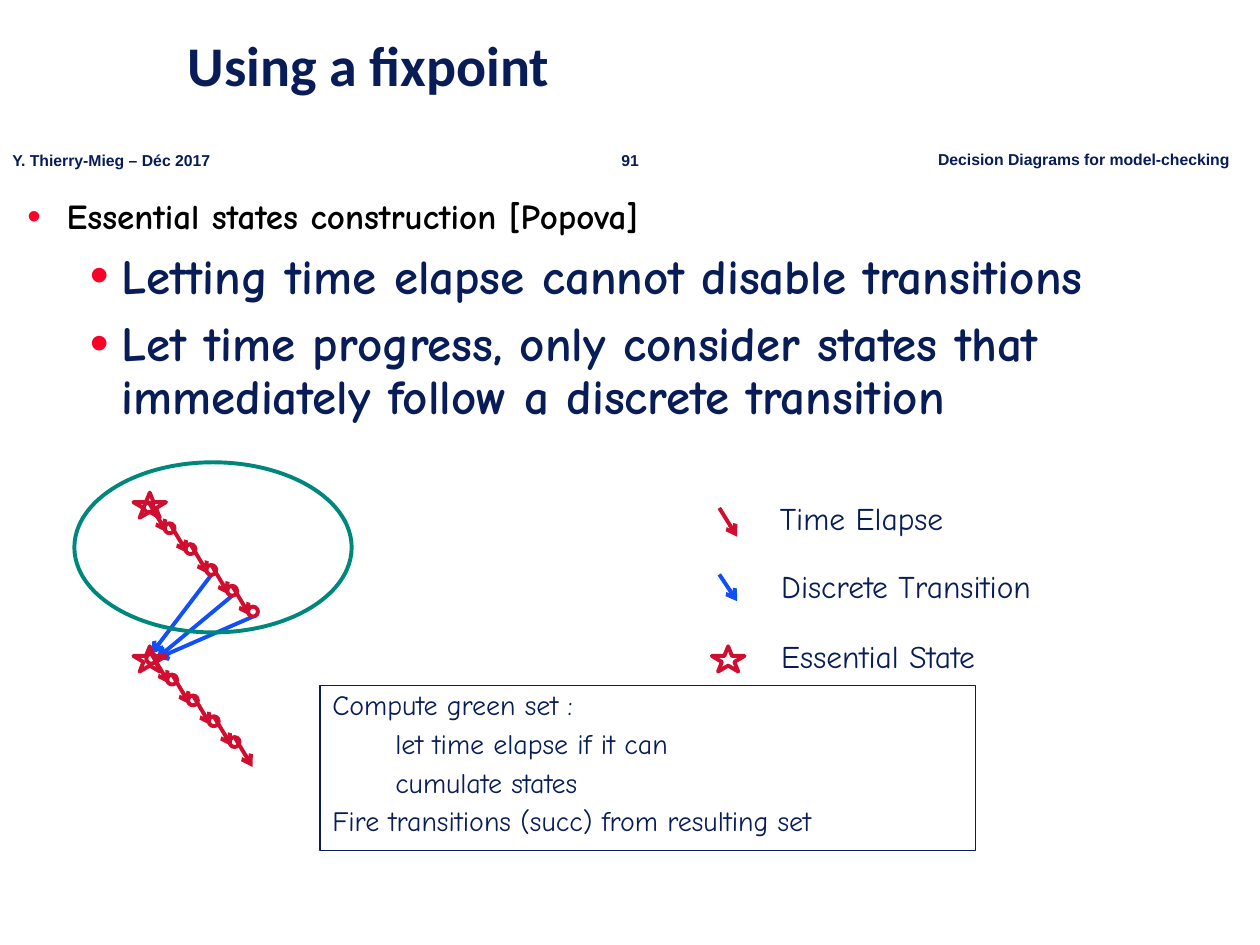
from lxml.etree import SubElement
from pptx import Presentation
from pptx.dml.color import RGBColor
from pptx.enum.shapes import MSO_CONNECTOR as Connector, MSO_SHAPE as Shape
from pptx.enum.text import MSO_ANCHOR as Anchor, MSO_AUTO_SIZE as AutoSize, PP_ALIGN as Align
from pptx.oxml.ns import qn
from pptx.util import Cm, Pt

rgb = RGBColor.from_string
NAVY, RED, BLUE, GREEN, BULLET = "081D58", "CF0E30", "114FFB", "00877B", "FC0128"


def format_paragraph(paragraph, size, font, color=NAVY, bold=False, align=Align.LEFT):
    paragraph.alignment = align
    if font == "Comic Neue":
        paragraph.line_spacing = 0.9
        paragraph.space_before = Pt(round(size * 0.3, 1))
    for run in paragraph.runs:
        run.font.size = Pt(size)
        run.font.name = font
        run.font.bold = bold
        run.font.color.rgb = rgb(color)


def add_label(text, left, top, width, height, size, font, bold=False, align=Align.LEFT):
    label = slide.shapes.add_textbox(Cm(left), Cm(top), Cm(width), Cm(height))
    label.text_frame.word_wrap = False
    label.text_frame.text = text
    format_paragraph(label.text_frame.paragraphs[0], size, font, bold=bold, align=align)


presentation = Presentation()
presentation.slide_width, presentation.slide_height = Cm(25.4), Cm(19.05)
slide = presentation.slides.add_slide(presentation.slide_layouts[1])

add_label("91", 12.17, 2.92, 1.07, 0.64, 9, "Arial", True, Align.CENTER)
add_label("Y. Thierry-Mieg – Déc 2017", 0, 2.92, 4.57, 0.64, 9, "Arial", True)
add_label("Decision Diagrams for model-checking", 18.66, 2.89, 6.43, 0.64, 9, "Arial", True)

title = slide.shapes.title
title.left, title.top, title.width, title.height = Cm(3.53), Cm(0), Cm(21.87), Cm(2.74)
title.text_frame.text = "Using a fixpoint"
title.text_frame.auto_size = AutoSize.NONE
title.text_frame.vertical_anchor = Anchor.MIDDLE
title.text_frame.paragraphs[0].line_spacing = 0.9
format_paragraph(title.text_frame.paragraphs[0], 32, "Calibri", bold=True)

body = slide.placeholders[1]
body.left, body.top, body.width, body.height = Cm(0.3), Cm(3.89), Cm(24.61), Cm(5.44)
body.text_frame.text = "\n".join([
    "Essential states construction [Popova]",
    "Letting time elapse cannot disable transitions",
    "Let time progress, only consider states that immediately follow a discrete transition",
])
body.text_frame.auto_size = AutoSize.NONE
for index, paragraph in enumerate(body.text_frame.paragraphs):
    paragraph.level = min(index, 1)
    size, color, margin, indent = [(20, "000000", 0.79, -0.79), (28, NAVY, 1.9, -0.64)][paragraph.level]
    format_paragraph(paragraph, size, "Comic Neue", color, bold=True)
    properties = paragraph._p.get_or_add_pPr()
    properties.set("marL", str(Cm(margin)))
    properties.set("indent", str(Cm(indent)))
    bullet_color = SubElement(properties, qn("a:buClr"))
    SubElement(bullet_color, qn("a:srgbClr"), val=BULLET)
    SubElement(properties, qn("a:buSzPct"), val="110000")
    SubElement(properties, qn("a:buFont"), typeface="Arial")
    SubElement(properties, qn("a:buChar"), char="•")

step, diameter = 0.42, 0.2
radius = diameter / 2
first_left, first_top = 2.9, 10.13
next_left, next_top = 2.95, 13.18
outlines = []
arrows = []
for left, top, states in [(first_left, first_top, 6), (next_left, next_top, 5)]:
    for index in range(states):
        x, y = left + index * step, top + index * step
        outlines.append((Shape.OVAL, x, y, diameter, diameter, RED))
        if index < 5:
            arrows.append((x + radius, y, x + radius + 0.36, y + 0.6, RED))

next_state_top = (next_left + radius, next_top)
next_state_right = (next_left + diameter, next_top + radius)
for index, target in [(3, next_state_top), (4, next_state_right), (5, next_state_right)]:
    start = first_left + index * step + radius, first_top + index * step + diameter
    arrows.append((*start, *target, BLUE))

arrows.append((14.5, 10.24, 14.86, 10.82, RED))
arrows.append((14.5, 11.58, 14.86, 12.12, BLUE))
for left, top in [(2.69, 9.93), (2.69, 13.03), (14.35, 13.03)]:
    outlines.append((Shape.STAR_5_POINT, left, top, 0.66, 0.51, RED))
outlines.append((Shape.OVAL, 1.5, 9.32, 5.59, 3.43, GREEN))

for x1, y1, x2, y2, color in arrows:
    arrow = slide.shapes.add_connector(Connector.STRAIGHT, Cm(x1), Cm(y1), Cm(x2), Cm(y2))
    arrow.line.color.rgb = rgb(color)
    arrow.line.width = Pt(2.25)
    shape_properties = arrow._element.spPr
    SubElement(shape_properties.find(qn("a:ln")), qn("a:tailEnd"), type="arrow")
    SubElement(shape_properties, qn("a:effectLst"))

for kind, left, top, width, height, color in outlines:
    outline = slide.shapes.add_shape(kind, Cm(left), Cm(top), Cm(width), Cm(height))
    outline.shadow.inherit = False
    outline.fill.background()
    outline.line.color.rgb = rgb(color)
    outline.line.width = Pt(2.25)

for text, left, top, width in [
    ("Time Elapse", 15.47, 10.03, 4.09),
    ("Discrete Transition", 15.5, 11.4, 6.35),
    ("Essential State", 15.5, 12.8, 5.13),
]:
    add_label(text, left, top, width, 0.94, 18, "Comic Neue")

algorithm = slide.shapes.add_shape(Shape.RECTANGLE, Cm(6.45), Cm(13.82), Cm(13.21), Cm(3.33))
algorithm.shadow.inherit = False
algorithm.fill.background()
algorithm.line.color.rgb = rgb(NAVY)
algorithm.line.width = Pt(0.75)
algorithm.text_frame.vertical_anchor = Anchor.TOP
algorithm.text_frame.text = "\n".join([
    "Compute green set :",
    "\tlet time elapse if it can",
    "\tcumulate states",
    "Fire transitions (succ) from resulting set",
])
for paragraph in algorithm.text_frame.paragraphs:
    format_paragraph(paragraph, 16, "Comic Neue")

presentation.save("out.pptx")
